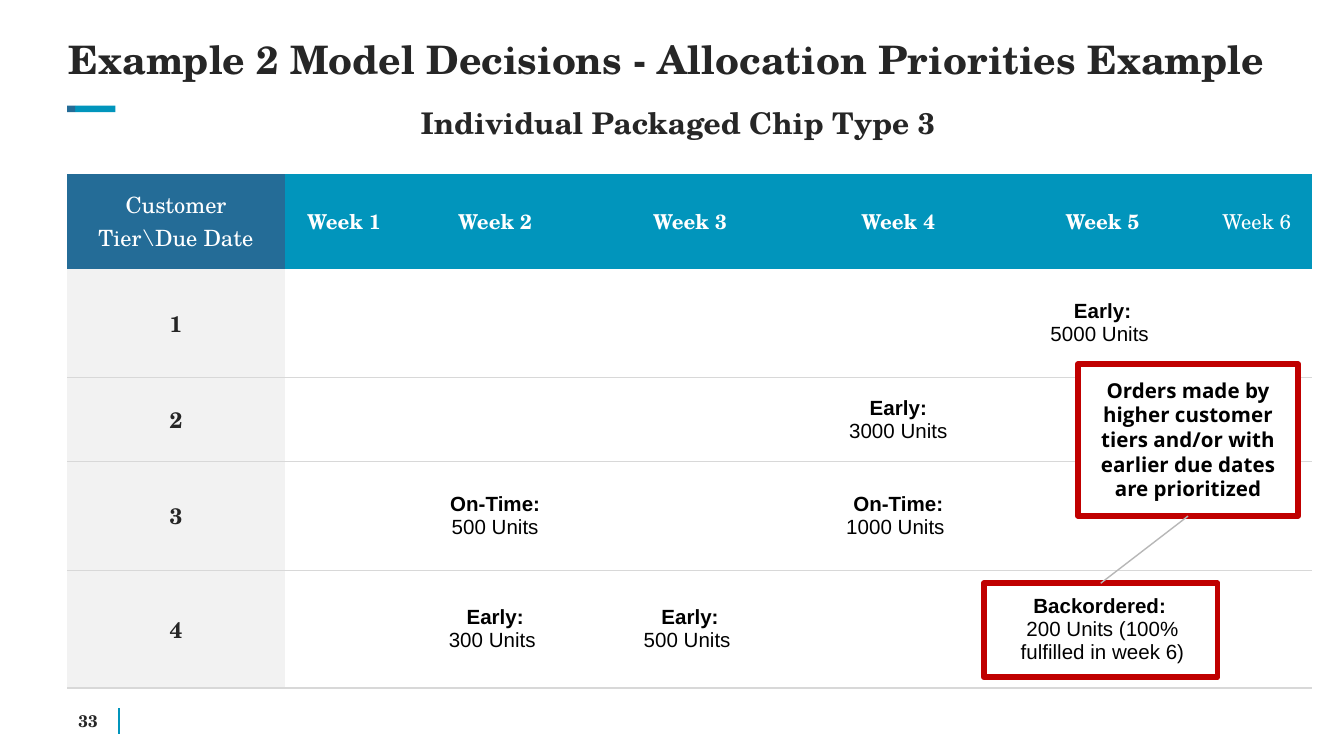
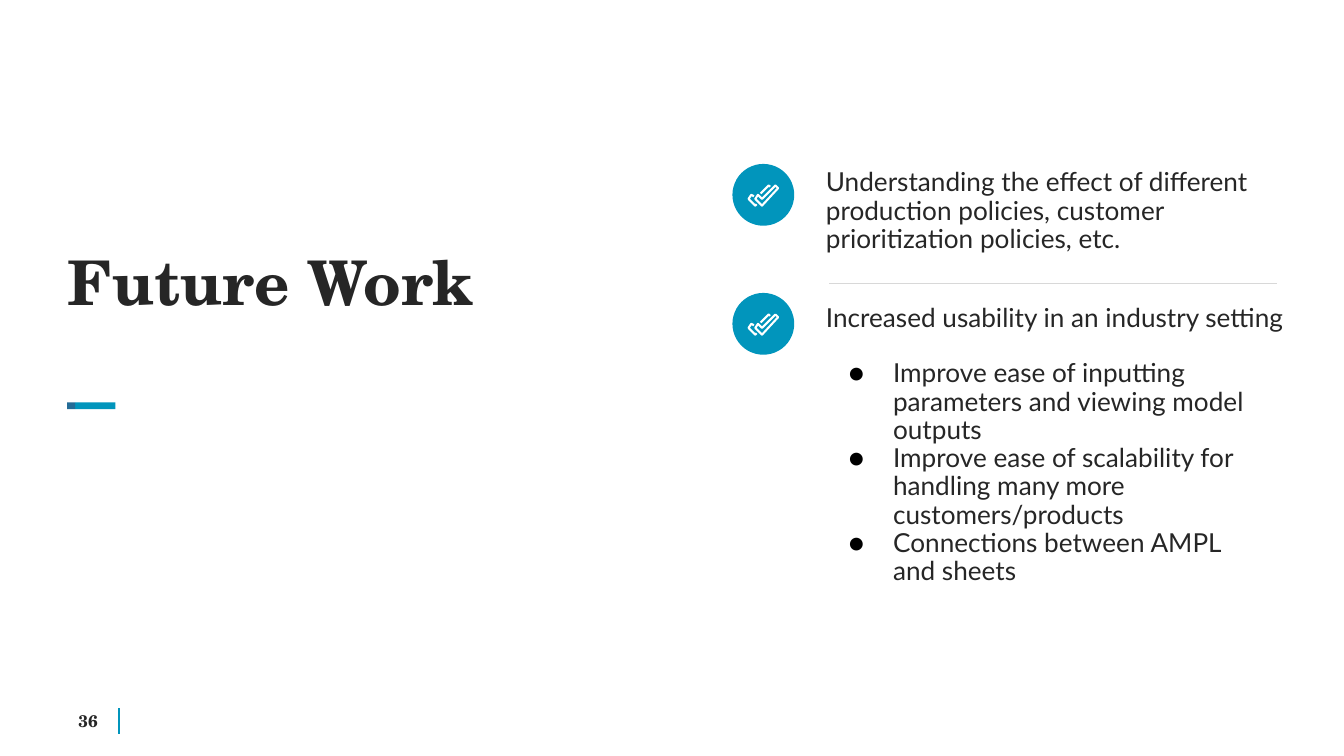
from lxml import etree
from pptx import Presentation
from pptx.dml.color import RGBColor
from pptx.enum.shapes import MSO_CONNECTOR, MSO_SHAPE
from pptx.enum.text import MSO_ANCHOR, PP_ALIGN
from pptx.oxml.ns import qn
from pptx.util import Inches, Pt

LEFT, MID = PP_ALIGN.LEFT, PP_ALIGN.CENTER
TOP, HALF = MSO_ANCHOR.TOP, MSO_ANCHOR.MIDDLE
RECT, OVAL = MSO_SHAPE.RECTANGLE, MSO_SHAPE.OVAL
LINE = MSO_CONNECTOR.STRAIGHT
SERIF, SANS, BODY, NOTE = "TeX Gyre Schola", "Arial", "Lato", "Open Sans"
HUES = {"teal": "0195BC", "navy": "246C97", "ink": "262626", "black": "000000",
        "white": "FFFFFF", "pale": "F2F2F2", "rule": "D8D8D8", "red": "C00000",
        "grey": "B7B7B7"}
TINT = {name: RGBColor.from_string(code) for name, code in HUES.items()}

deck = Presentation()
deck.slide_width = Inches(10)
deck.slide_height = deck.slide_width * 9 // 16
UNIT = deck.slide_width // 100


def grid(*cells):
    return [round(c * UNIT) for c in cells]


def write(frame, rows, size, face, hue="ink", bold=False, align=LEFT,
          anchor=TOP, pad=(0, 0), lead=None, mark=None):
    frame.word_wrap = True
    frame.vertical_anchor = anchor
    frame.margin_left = frame.margin_right = round(pad[0] * UNIT)
    frame.margin_top = frame.margin_bottom = round(pad[1] * UNIT)
    for n, row in enumerate(rows):
        para = frame.add_paragraph() if n else frame.paragraphs[0]
        para.text = row
        para.alignment = align
        if mark:
            props = para._p.get_or_add_pPr()
            props.set("marL", str(5 * UNIT))
            props.set("indent", str(round(-3.3 * UNIT)))
            tone = etree.SubElement(props, qn("a:buClr"))
            etree.SubElement(tone, qn("a:srgbClr"), val=HUES["black"])
            etree.SubElement(props, qn("a:buFont"), typeface=face)
            etree.SubElement(props, qn("a:buChar"), char=mark)
        if lead:
            para.line_spacing = lead
        para.font.size, para.font.name = Pt(size), face
        para.font.color.rgb = TINT[hue]
        para.font.bold = bold


slides = []
lines = []
for page, bar in (("33", 7.85), ("36", 29.95)):
    slide = deck.slides.add_slide(deck.slide_layouts[6])
    slides.append(slide)
    tick = slide.shapes.add_connector(LINE, *grid(8.85, 52.7, 8.85, 54.6))
    lines.append((tick, "teal", 1))
    for left, wide, hue in ((5.6, 3, "teal"), (5, 0.6, "navy")):
        dash = slide.shapes.add_shape(RECT, *grid(left, bar, wide, 0.5))
        dash.shadow.inherit = False
        dash.fill.solid()
        dash.fill.fore_color.rgb = TINT[hue]
        dash.line.fill.background()
    foot = slide.shapes.add_textbox(*grid(5.1, 52.85, 2.9, 1.6))
    write(foot.text_frame, [page], 9, SERIF, bold=True, align=MID, anchor=HALF)

plan, work = slides
heads = (
    (plan, (5.1, 3, 93.7, 6.4), "Example 2 Model Decisions - Allocation Priorities Example", 21),
    (plan, (31.3, 8.1, 50.6, 4.8), "Individual Packaged Chip Type 3", 16),
    (work, (5, 18.8, 31.4, 5), "Future Work", 33),
)
for slide, place, words, size in heads:
    head = slide.shapes.add_textbox(*grid(*place))
    write(head.text_frame, [words], size, SERIF, bold=True, lead=0.9)

WIDE = (16.2, 8.8, 13.7, 15.3, 15.7, 14.7, 8.25)
TALL = (7.05, 8.1, 6.25, 8.1, 8.75)
units = {
    (1, 5): ("Early:", "5000 Units "),
    (2, 4): ("Early:", "3000 Units"),
    (3, 2): ("On-Time:", "500 Units"),
    (3, 4): ("On-Time:", "1000 Units "),
    (4, 2): ("Early:", "300 Units "),
    (4, 3): ("Early:", "500 Units "),
    (4, 5): ("Backordered: ", "200 Units (100% fulfilled in week 6)"),
}
table = plan.shapes.add_table(
    len(TALL), len(WIDE), *grid(5, 12.95, sum(WIDE), sum(TALL))).table
table.first_row = table.horz_banding = False
for col, wide in zip(table.columns, WIDE):
    col.width = round(wide * UNIT)
for r, tall in enumerate(TALL):
    table.rows[r].height = round(tall * UNIT)
    for c in range(len(WIDE)):
        cell = table.cell(r, c)
        cell.margin_left = cell.margin_right = round(0.8 * UNIT)
        cell.margin_top = cell.margin_bottom = round(0.4 * UNIT)
        cell.vertical_anchor = HALF
        if r == 0:
            back, hue, face = ("teal" if c else "navy"), "white", SERIF
            size = 11 if c else 12
            rows = [f"Week {c}" if c else "Customer Tier\\Due Date"]
            bold = [0 < c < 6]
        elif c == 0:
            back, hue, face, size = "pale", "ink", SERIF, 12
            rows, bold = [str(r)], [True]
        else:
            back, hue, face, size = "white", "black", SANS, 11
            rows, bold = units.get((r, c), ()), [True, False]
        cell.fill.solid()
        cell.fill.fore_color.rgb = TINT[back]
        for n, row in enumerate(rows):
            frame = cell.text_frame
            para = frame.add_paragraph() if n else frame.paragraphs[0]
            para.text, para.alignment = row, MID
            para.font.size, para.font.name = Pt(size), face
            para.font.bold = bold[n]
            para.font.color.rgb = TINT[hue]
        props = cell._tc.get_or_add_tcPr()
        for n, side in enumerate(("lnL", "lnR", "lnT", "lnB")):
            edge = etree.Element(qn("a:" + side), w=str(Pt(0.75)))
            if (side == "lnB" and r) or (side == "lnT" and r > 1):
                fill = etree.SubElement(edge, qn("a:solidFill"))
                etree.SubElement(fill, qn("a:srgbClr"), val=HUES["rule"])
            else:
                etree.SubElement(edge, qn("a:noFill"))
            props.insert(n, edge)

frames = []
for place in ((73.2, 43.4, 17.4, 7), (80.2, 27.1, 16.4, 11.3)):
    shape = plan.shapes.add_shape(RECT, *grid(*place))
    shape.shadow.inherit = False
    shape.fill.background()
    shape.line.color.rgb = TINT["red"]
    shape.line.width = Pt(3)
    frames.append(shape)
late, note = frames
note.fill.solid()
note.fill.fore_color.rgb = TINT["white"]
write(note.text_frame,
      ["Orders made by higher customer tiers and/or with earlier due dates are prioritized"],
      11, NOTE, "black", bold=True, align=MID, pad=(1, 1))
link = plan.shapes.add_connector(LINE, *grid(88.4, 38.4, 81.9, 43.4))
link.begin_connect(note, 2)
link.end_connect(late, 0)
lines.append((link, "grey", 0.75))

rule = work.shapes.add_connector(LINE, *grid(61.7, 21.1, 95, 21.1))
lines.append((rule, "rule", 0.75))
goals = (
    ((60.7, 12.2, 34.3, 7.3), None,
     ["Understanding the effect of different production policies, "
      "customer prioritization policies, etc."]),
    ((60.7, 22.3, 37.1, 5.6), None, ["Increased usability in an industry setting"]),
    ((60.7, 26.4, 33.3, 20.1), "●",
     ["Improve ease of inputting parameters and viewing model outputs",
      "Improve ease of scalability for handling many more customers/products",
      "Connections between AMPL and sheets"]),
)
for place, mark, rows in goals:
    goal = work.shapes.add_textbox(*grid(*place))
    write(goal.text_frame, rows, 14, BODY, pad=(0.75, 0.4), lead=0.9, mark=mark)

CHECK = (
    (False, ((28, 17), (27, 16), (21, 22))),
    (False, ((16, 24), (14, 23), (12, 26), (17, 31), (18, 30))),
    (True, ((32, 16), (22, 26), (19, 23), (17, 26), (22, 31), (34, 18))),
)
for top in (12.2, 21.8):
    disc = work.shapes.add_shape(OVAL, *grid(54.5, top, 4.6, 4.6))
    disc.shadow.inherit = False
    disc.fill.solid()
    disc.fill.fore_color.rgb = TINT["teal"]
    disc.line.fill.background()
    for shut, dots in CHECK:
        spots = [(545 + x, round(top * 10) + y) for x, y in dots]
        pen = work.shapes.build_freeform(*spots[0], scale=UNIT / 10)
        pen.add_line_segments(spots[1:], close=shut)
        stroke = pen.convert_to_shape()
        stroke.shadow.inherit = False
        stroke.fill.background()
        stroke.line.color.rgb = TINT["white"]
        stroke.line.width = Pt(1.1)

for line, hue, size in lines:
    line.line.color.rgb = TINT[hue]
    line.line.width = Pt(size)
    etree.SubElement(line._element.spPr, qn("a:effectLst"))

deck.save("out.pptx")
